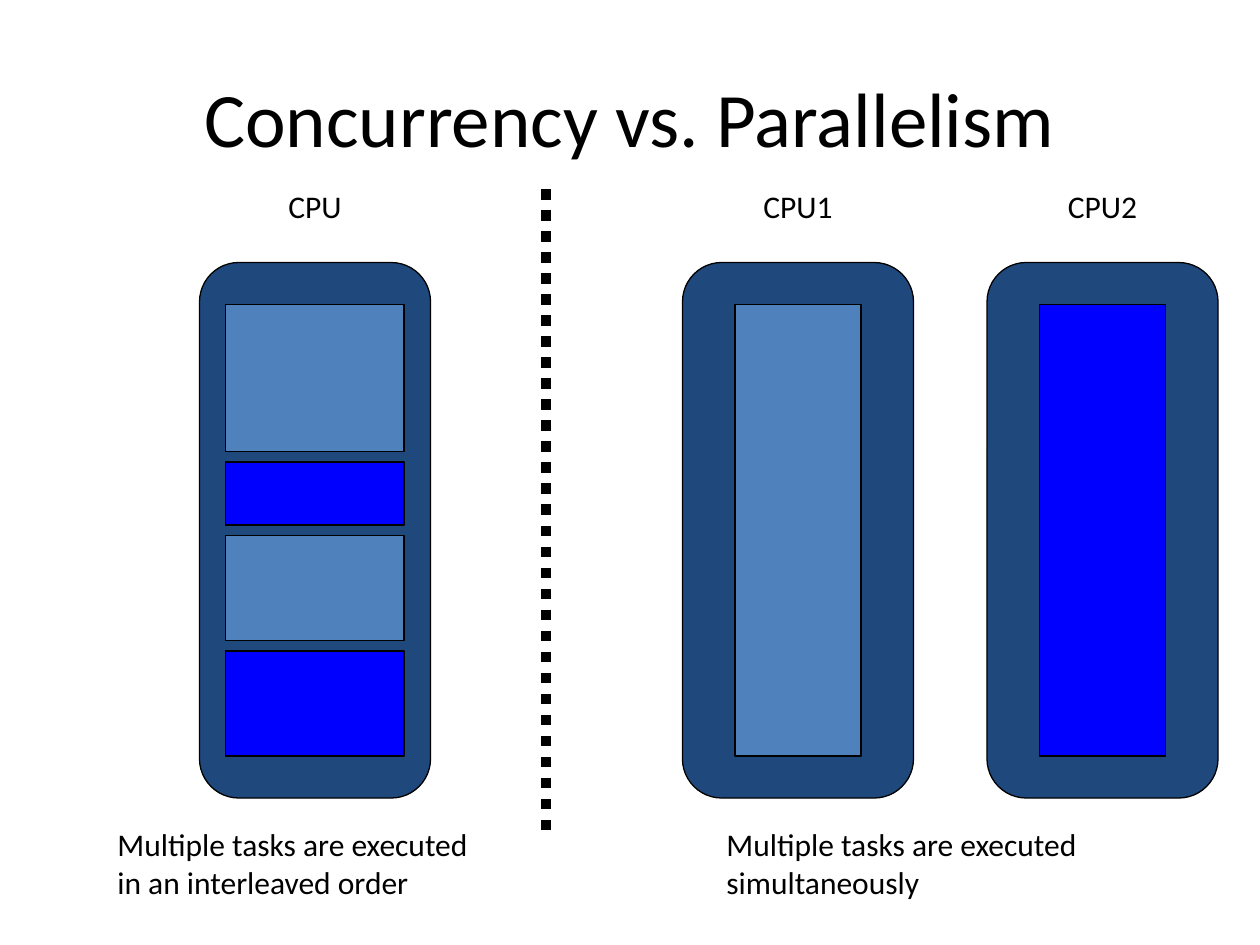
from lxml.etree import SubElement
from pptx import Presentation
from pptx.dml.color import RGBColor
from pptx.enum.dml import MSO_LINE
from pptx.enum.shapes import MSO_CONNECTOR, MSO_SHAPE
from pptx.enum.text import MSO_ANCHOR as Anchor, PP_ALIGN as Align
from pptx.oxml.ns import qn
from pptx.util import Inches, Pt

# The grid has 12 cells to the inch: 120 columns by 90 rows.
COLUMNS, ROWS = 120, 90
BLACK, CPU_FILL, TASK_A, TASK_B = "000000", "1F497D", "4F81BD", "0000FF"

CPU_TOP, CPU_WIDTH, CPU_HEIGHT = 25, 22, 51
TASK_TOP, TASK_GAP = 29, 1
LABEL_TOP, LABEL_WIDTH, LABEL_HEIGHT = 17.2, 9.6, 4.8

# label, left column, task width, (task colour, rows) from top to bottom
CPUS = [
    ("CPU", 19, 17, [(TASK_A, 14), (TASK_B, 6), (TASK_A, 10), (TASK_B, 10)]),
    ("CPU1", 65, 12, [(TASK_A, 43)]),
    ("CPU2", 94, 12, [(TASK_B, 43)]),
]
CAPTIONS = [
    (10, "Multiple tasks are executed in an interleaved order"),
    (68, "Multiple tasks are executed simultaneously"),
]


def cells(*counts):
    """Turn grid counts into lengths."""
    return [Inches(count / 12) for count in counts]


def color(hex_code):
    return RGBColor.from_string(hex_code)


def set_attributes(target, values):
    for name, value in values.items():
        setattr(target, name, value)


def add_text(page, text, area, size=18, align=Align.LEFT, anchor=Anchor.TOP, wrap=True):
    frame = page.shapes.add_textbox(*cells(*area)).text_frame
    set_attributes(frame, {"word_wrap": wrap, "vertical_anchor": anchor})
    para = frame.paragraphs[0]
    para.alignment = align
    span = para.add_run()
    span.text = text
    set_attributes(span.font, {"name": "Calibri", "size": Pt(size)})
    span.font.color.rgb = color(BLACK)


def add_block(page, preset, area, fill):
    block = page.shapes.add_shape(preset, *cells(*area))
    block.shadow.inherit = False
    block.fill.solid()
    block.fill.fore_color.rgb = color(fill)
    block.line.color.rgb = color(BLACK)
    block.line.width = Pt(0.75)
    return block


def add_cpu(page, label, left, task_width, tasks):
    """Draw a labelled processor with its tasks stacked in time order."""
    middle = left + CPU_WIDTH / 2
    body = add_block(page, MSO_SHAPE.ROUNDED_RECTANGLE,
                     (left, CPU_TOP, CPU_WIDTH, CPU_HEIGHT), CPU_FILL)
    body.adjustments[0] = 0.17
    top = TASK_TOP
    for fill, height in tasks:
        add_block(page, MSO_SHAPE.RECTANGLE,
                  (middle - task_width / 2, top, task_width, height), fill)
        top += height + TASK_GAP
    add_text(page, label, (middle - LABEL_WIDTH / 2, LABEL_TOP, LABEL_WIDTH, LABEL_HEIGHT),
             align=Align.CENTER, wrap=False)


def add_divider(page, column, top, bottom):
    divider = page.shapes.add_connector(
        MSO_CONNECTOR.STRAIGHT, *cells(column, top, column, bottom))
    divider.line.color.rgb = color(BLACK)
    set_attributes(divider.line, {"width": Pt(6), "dash_style": MSO_LINE.ROUND_DOT})
    SubElement(divider._element.spPr, qn("a:effectLst"))


def main():
    deck = Presentation()
    width, height = cells(COLUMNS, ROWS)
    set_attributes(deck, {"slide_width": width, "slide_height": height})
    page = deck.slides.add_slide(deck.slide_layouts[6])

    add_text(page, "Concurrency vs. Parallelism", (6, 3.6, 108, 15),
             size=44, align=Align.CENTER, anchor=Anchor.MIDDLE)
    for cpu in CPUS:
        add_cpu(page, *cpu)
    add_divider(page, 52, 18, 80)
    for left, text in CAPTIONS:
        add_text(page, text, (left, 78, 38, 8.5))

    deck.save("out.pptx")


if __name__ == "__main__":
    main()
